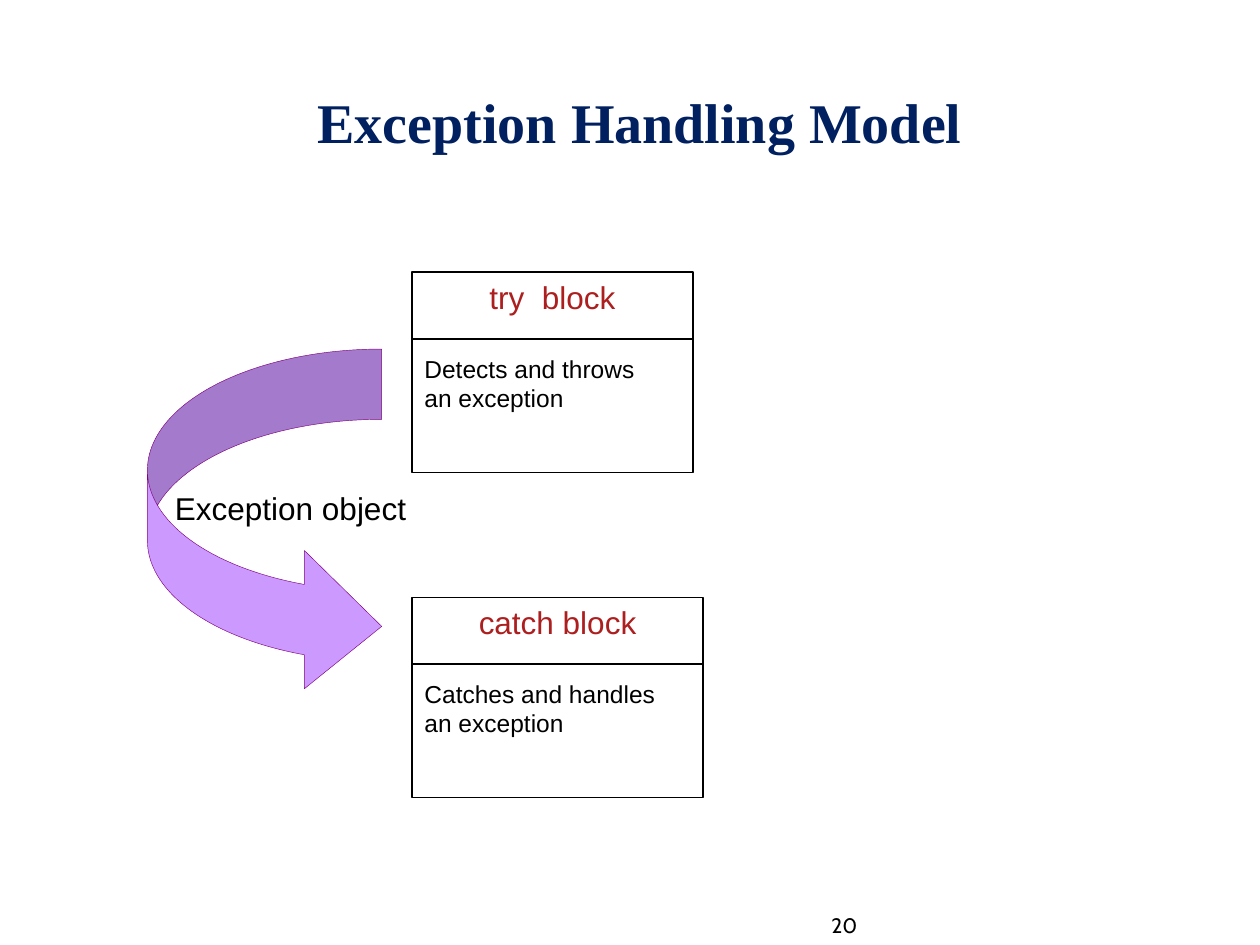
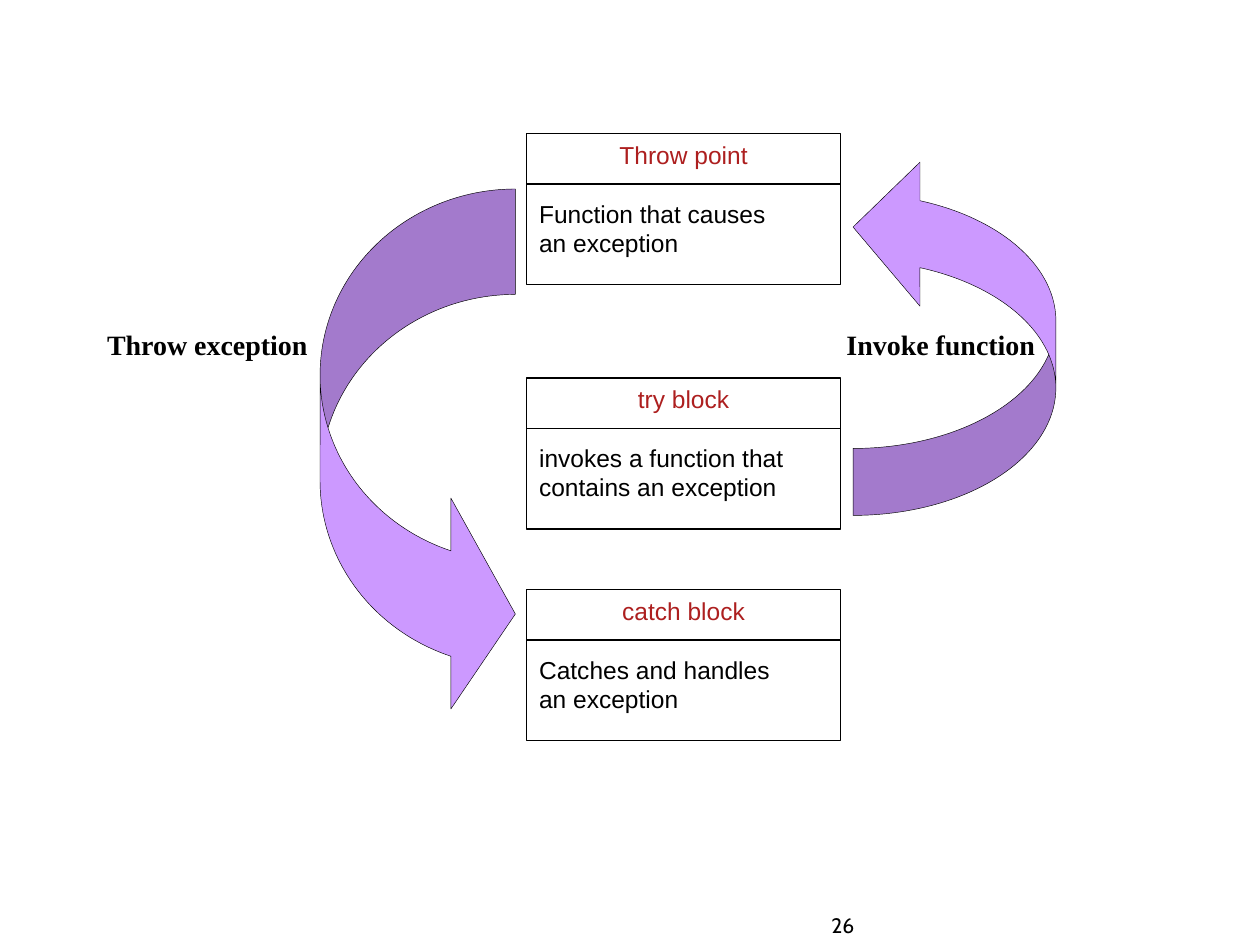
import dataclasses

import lxml.etree
import pptx
import pptx.dml.color
import pptx.enum.shapes
import pptx.enum.text
import pptx.oxml.ns
import pptx.util

Align = pptx.enum.text.PP_ALIGN
Anchor = pptx.enum.text.MSO_ANCHOR

SLIDE_WIDTH = pptx.util.Inches(10)
SLIDE_HEIGHT = pptx.util.Inches(7.5)
COLUMN = SLIDE_WIDTH / 100
ROW = SLIDE_HEIGHT / 75


@dataclasses.dataclass(frozen=True)
class Theme:
    black: str = "000000"
    white: str = "FFFFFF"
    navy: str = "002060"
    red: str = "AD1F1F"
    lilac: str = "CC99FF"
    purple: str = "800080"
    sans: str = "Arial"
    serif: str = "Times New Roman"
    number_font: str = "Cabin"
    title_size: int = 32
    large_size: int = 18
    label_size: int = 16
    body_size: int = 14
    number_size: int = 12
    outline: float = 0.75
    hairline: float = 0.25


@dataclasses.dataclass(frozen=True)
class Box:
    column: float
    row: float
    columns: float
    rows: float

    def emu(self):
        return (round(self.column * COLUMN), round(self.row * ROW),
                round(self.columns * COLUMN), round(self.rows * ROW))


THEME = Theme()


def rgb(color):
    return pptx.dml.color.RGBColor.from_string(color)


def place(shape, box):
    shape.left, shape.top, shape.width, shape.height = box.emu()


def write_text(frame, text, size=THEME.body_size, font=THEME.sans, color=THEME.black,
               bold=False, align=Align.LEFT, space_before=0):
    paragraph = frame.add_paragraph() if frame.text else frame.paragraphs[0]
    paragraph.alignment = align
    paragraph.space_before = pptx.util.Pt(space_before)
    run = paragraph.add_run()
    run.text = text
    run.font.size = pptx.util.Pt(size)
    run.font.name = font
    run.font.bold = bold
    run.font.color.rgb = rgb(color)
    return paragraph


def add_text_box(slide, box, text, **text_format):
    frame = slide.shapes.add_textbox(*box.emu()).text_frame
    frame.word_wrap = True
    write_text(frame, text, **text_format)


def add_page_number(slide, number):
    add_text_box(slide, Box(65, 71.9, 27.5, 3.1), str(number),
                 size=THEME.number_size, font=THEME.number_font)


def add_filled_shape(slide, kind, box, fill, line, line_width):
    shape = slide.shapes.add_shape(kind, *box.emu())
    shape.shadow.inherit = False
    shape.fill.solid()
    shape.fill.fore_color.rgb = rgb(fill)
    shape.line.color.rgb = rgb(line)
    shape.line.width = pptx.util.Pt(line_width)
    return shape


def add_divider(slide, box, share):
    left, top, width, height = box.emu()
    level = round(top + height * share)
    divider = slide.shapes.add_connector(
        pptx.enum.shapes.MSO_CONNECTOR.STRAIGHT, left, level, left + width, level)
    divider.line.color.rgb = rgb(THEME.black)
    divider.line.width = pptx.util.Pt(THEME.outline)
    lxml.etree.SubElement(divider.element.spPr, pptx.oxml.ns.qn("a:effectLst"))


def add_code_block(slide, box, heading, details, heading_size):
    shape = add_filled_shape(slide, pptx.enum.shapes.MSO_SHAPE.RECTANGLE, box,
                             THEME.white, THEME.black, THEME.outline)
    frame = shape.text_frame
    frame.word_wrap = True
    frame.vertical_anchor = Anchor.TOP
    write_text(frame, heading, size=heading_size, color=THEME.red, align=Align.CENTER)
    for index, detail in enumerate(details):
        write_text(frame, detail, space_before=0 if index else heading_size * 1.2)
    add_divider(slide, box, 1 / 3)


def add_curved_arrow(slide, box, adjustments, line, rotation=0):
    arrow = add_filled_shape(slide, pptx.enum.shapes.MSO_SHAPE.CURVED_RIGHT_ARROW, box,
                             THEME.lilac, line, THEME.hairline)
    arrow.rotation = rotation
    for index, value in enumerate(adjustments):
        arrow.adjustments[index] = value


def add_title(slide, text):
    title = slide.shapes.title
    place(title, Box(3.3, 5, 95, 9.2))
    title.text_frame.vertical_anchor = Anchor.MIDDLE
    write_text(title.text_frame, text, size=THEME.title_size, font=THEME.serif,
               color=THEME.navy, bold=True, align=Align.CENTER)


def add_arrow_labels(slide, box, left_label, right_label):
    label_format = {"size": THEME.label_size, "font": THEME.serif, "bold": True}
    label_columns = 18
    body = slide.placeholders[1]
    place(body, dataclasses.replace(box, columns=label_columns))
    body.text_frame.auto_size = pptx.enum.text.MSO_AUTO_SIZE.NONE
    paragraph = write_text(body.text_frame, left_label, **label_format)
    properties = paragraph._p.get_or_add_pPr()
    properties.set("marL", "0")
    properties.set("indent", "0")
    lxml.etree.SubElement(properties, pptx.oxml.ns.qn("a:buNone"))
    right_column = box.column + box.columns - label_columns
    add_text_box(slide, Box(right_column, box.row, label_columns, box.rows),
                 right_label, **label_format)


def build_model_slide(presentation):
    slide = presentation.slides.add_slide(presentation.slide_layouts[5])
    add_page_number(slide, 20)
    add_title(slide, "Exception Handling Model")
    blocks = [
        (21.6, 22.3, "try  block", ["Detects and throws", "an exception"]),
        (47.4, 23.1, "catch block", ["Catches and handles", "an exception"]),
    ]
    for row, columns, heading, details in blocks:
        add_code_block(slide, Box(32.7, row, columns, 15.9), heading, details,
                       THEME.large_size)
    add_curved_arrow(slide, Box(11.7, 27.7, 18.6, 27.5), (0.3, 0.59, 0.33), THEME.purple)
    add_text_box(slide, Box(12.9, 38.3, 24.2, 4), "Exception object",
                 size=THEME.large_size)


def build_flow_slide(presentation):
    slide = presentation.slides.add_slide(presentation.slide_layouts[1])
    title = slide.shapes.title.element
    title.getparent().remove(title)
    add_page_number(slide, 26)
    blocks = [
        (10.6, "Throw point", ["Function that causes", "an exception"]),
        (30, "try block", ["invokes a function that contains an exception"]),
        (46.8, "catch block", ["Catches and handles", "an exception"]),
    ]
    for row, heading, details in blocks:
        add_code_block(slide, Box(41.8, row, 24.9, 12), heading, details, THEME.body_size)
    add_curved_arrow(slide, Box(25.4, 15, 15.5, 42.1), (0.54, 1.08, 0.33), THEME.black)
    add_curved_arrow(slide, Box(67.7, 12.3, 16.1, 28.6), (0.33, 0.71, 0.33), THEME.black,
                     rotation=180)
    add_arrow_labels(slide, Box(7.5, 25.5, 76.7, 3.6), "Throw exception", "Invoke function")


def main():
    presentation = pptx.Presentation()
    presentation.slide_width = SLIDE_WIDTH
    presentation.slide_height = SLIDE_HEIGHT
    build_model_slide(presentation)
    build_flow_slide(presentation)
    presentation.save("out.pptx")


if __name__ == "__main__":
    main()
